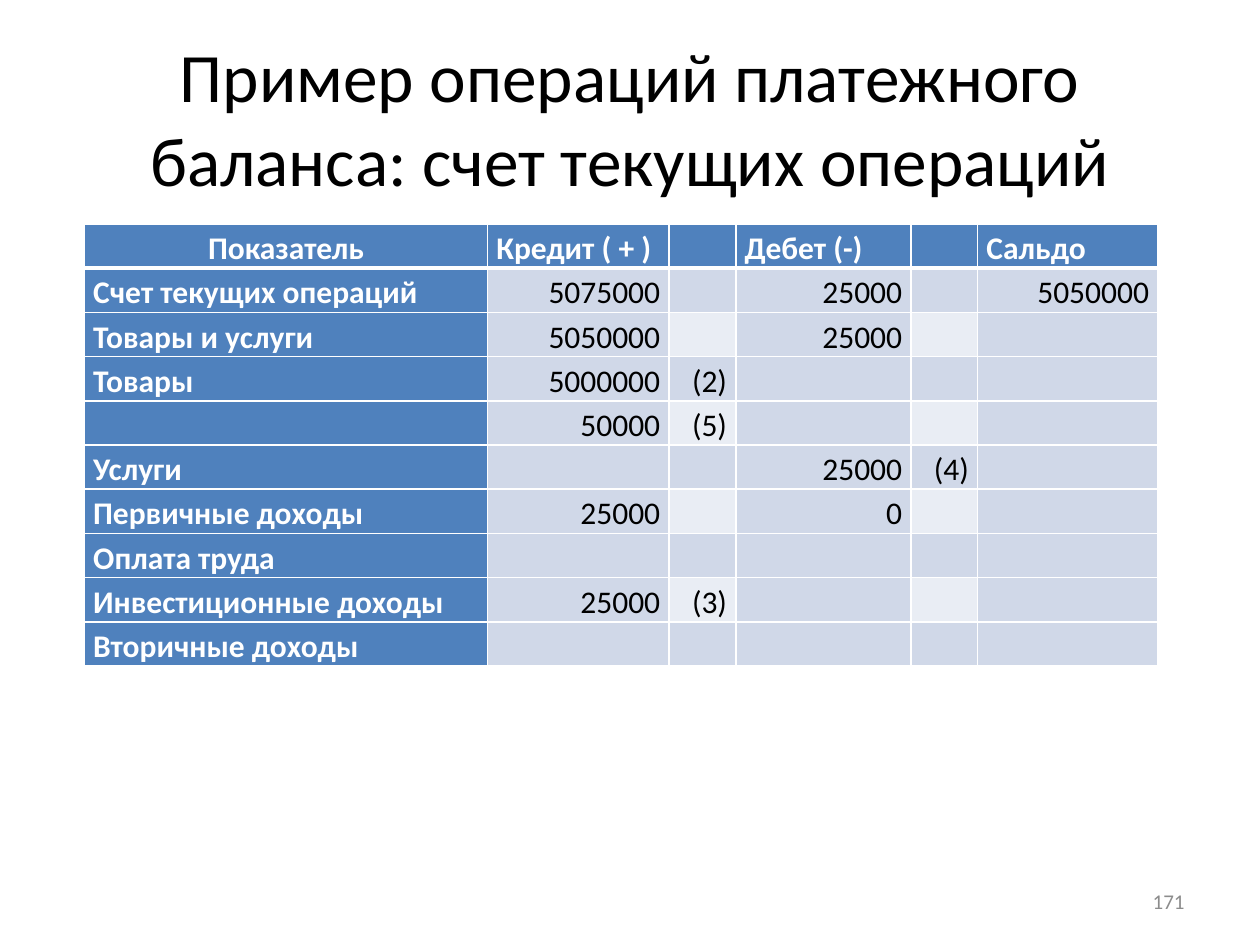
import pptx
import pptx.dml.color
import pptx.enum.text
import pptx.util
import lxml.etree

ALIGN = pptx.enum.text.PP_ALIGN
MID = pptx.enum.text.MSO_ANCHOR.MIDDLE
NS = "http://schemas.openxmlformats.org/drawingml/2006/main"
BLUE, PALE, LIGHT, WHITE, BLACK, GREY = (
    "4F81BD", "D0D8E8", "E9EDF4", "FFFFFF", "000000", "8C8C8C")

HEAD = ["Показатель", "Кредит ( + )", "", "Дебет (-)", "", "Сальдо"]
ROWS = [
    ["Счет текущих операций", "5075000", "", "25000", "", "5050000"],
    ["Товары и услуги", "5050000", "", "25000", "", ""],
    ["Товары", "5000000", "(2)", "", "", ""],
    ["", "50000", "(5)", "", "", ""],
    ["Услуги", "", "", "25000", "(4)", ""],
    ["Первичные доходы", "25000", "", "0", "", ""],
    ["Оплата труда", "", "", "", "", ""],
    ["Инвестиционные доходы", "25000", "(3)", "", "", ""],
    ["Вторичные доходы", "", "", "", "", ""],
]
WIDTHS = [3.2, 1.44, 0.53, 1.39, 0.53, 1.43]


def tint(code):
    return pptx.dml.color.RGBColor.from_string(code)


class Deck:
    font = "Calibri"

    def __init__(self, wide, high):
        self.prs = pptx.Presentation()
        self.prs.slide_width = pptx.util.Inches(wide)
        self.prs.slide_height = pptx.util.Inches(high)
        self.slide = self.prs.slides.add_slide(self.prs.slide_layouts[6])

    def place(self, left, top, wide, high):
        """Turn shares of the slide into lengths."""
        w, h = self.prs.slide_width, self.prs.slide_height
        return int(left * w), int(top * h), int(wide * w), int(high * h)

    def words(self, par, text, size, color, align, bold=False):
        par.alignment = align
        par.font.size = pptx.util.Pt(size)
        if text:
            run = par.add_run()
            run.text = text
            run.font.name, run.font.bold = self.font, bold
            run.font.size = pptx.util.Pt(size)
            run.font.color.rgb = tint(color)

    def label(self, box, text, size, color, align):
        frame = self.slide.shapes.add_textbox(*self.place(*box)).text_frame
        frame.word_wrap = True
        frame.vertical_anchor = MID
        self.words(frame.paragraphs[0], text, size, color, align)

    def edge(self, cell, side, width):
        prop = cell._tc.get_or_add_tcPr()
        line = lxml.etree.SubElement(prop, f"{{{NS}}}ln{side}",
                                     w=str(pptx.util.Pt(width)))
        fill = lxml.etree.SubElement(line, f"{{{NS}}}solidFill")
        lxml.etree.SubElement(fill, f"{{{NS}}}srgbClr", val=WHITE)

    def cell(self, cell, text, row, col):
        # White grid, with a thick rule under the header
        for side in "LRTB":
            thick = (side, row) in (("B", 0), ("T", 1))
            self.edge(cell, side, 3 if thick else 1)
        # Header row and first column are blue; note columns are banded
        main = row == 0 or col == 0
        band = LIGHT if col in (2, 4) and row % 2 == 0 else PALE
        cell.fill.solid()
        cell.fill.fore_color.rgb = tint(BLUE if main else band)
        cell.margin_left = cell.margin_right = pptx.util.Inches(0.07)
        cell.margin_top = cell.margin_bottom = 0
        align = ALIGN.LEFT if main else ALIGN.RIGHT
        if row == col == 0:
            align = ALIGN.CENTER
        par = cell.text_frame.paragraphs[0]
        par.line_spacing = 1.15
        self.words(par, text, 18, WHITE if main else BLACK, align, main)

    def table(self, box, rows, widths):
        grid = self.slide.shapes.add_table(
            len(rows), len(widths), *self.place(*box)).table
        for col, width in zip(grid.columns, widths):
            col.width = pptx.util.Inches(width)
        for r, row in enumerate(rows):
            for c, text in enumerate(row):
                self.cell(grid.cell(r, c), text, r, c)


def main():
    deck = Deck(10, 7.5)
    # Title
    deck.label((0.05, 0.04, 0.9, 0.167),
               "Пример операций платежного баланса: счет текущих операций",
               39.6, BLACK, ALIGN.CENTER)
    # Current account table
    deck.table((0.067, 0.237, 0.852, 0.468), [HEAD] + ROWS, WIDTHS)
    # Page number
    deck.label((0.717, 0.927, 0.233, 0.053), "171", 12, GREY, ALIGN.RIGHT)
    deck.prs.save("out.pptx")


if __name__ == "__main__":
    main()
